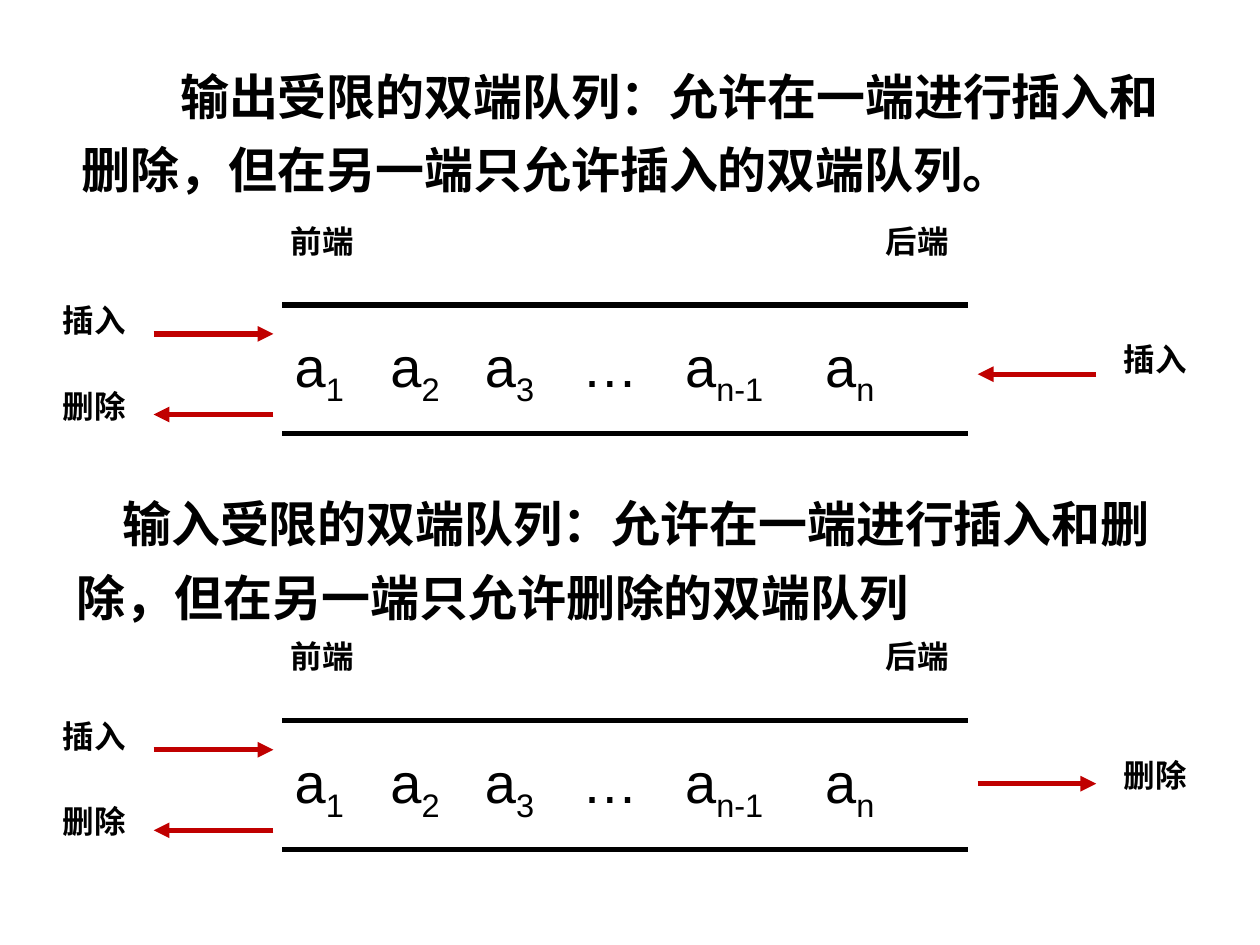
from lxml import etree
from pptx import Presentation
from pptx.dml.color import RGBColor
from pptx.enum.shapes import MSO_CONNECTOR
from pptx.enum.text import MSO_ANCHOR, MSO_AUTO_SIZE, PP_ALIGN
from pptx.oxml.ns import qn
from pptx.util import Inches, Pt

BLACK = RGBColor(0x00, 0x00, 0x00)
RED = RGBColor(0xC0, 0x00, 0x00)
LEFT, CENTER = PP_ALIGN.LEFT, PP_ALIGN.CENTER
TOP = MSO_ANCHOR.TOP
NO_AUTOFIT = MSO_AUTO_SIZE.NONE
STRAIGHT = MSO_CONNECTOR.STRAIGHT

COLUMNS, ROWS = 100, 75
CHINESE_FONT, ELEMENT_FONT = "Noto Sans CJK SC", "Arial"

# Each queue element: name, subscript, tab stop in columns
ELEMENTS = [("a", "1", 0), ("a", "2", 7.6), ("a", "3", 15.1),
            ("…", "", 22.8), ("a", "n-1", 31), ("a", "n", 42.1)]


class QueueSlide:
    """Style and drawing methods; lengths are in grid columns and rows."""

    def __init__(self, deck):
        self.slide = deck.slides.add_slide(deck.slide_layouts[1])
        self.column = deck.slide_width / COLUMNS
        self.row = deck.slide_height / ROWS

    def x(self, columns):
        return round(columns * self.column)

    def y(self, rows):
        return round(rows * self.row)

    def style(self, run, font, size, bold):
        run.font.size, run.font.bold = Pt(size), bold
        run.font.color.rgb = BLACK
        run.font.name = font
        east_asian = etree.SubElement(run.font._element, qn("a:ea"))
        east_asian.set("typeface", font)

    def text_box(self, left, top, width, height):
        box = self.slide.shapes.add_textbox(
            self.x(left), self.y(top), self.x(width), self.y(height))
        box.text_frame.word_wrap = True
        return box.text_frame

    def definition(self, placeholder, text, left, top, width, indent):
        placeholder.left, placeholder.top = self.x(left), self.y(top)
        placeholder.width, placeholder.height = self.x(width), self.y(12)
        frame = placeholder.text_frame
        frame.text = text
        frame.auto_size, frame.vertical_anchor = NO_AUTOFIT, TOP
        paragraph = frame.paragraphs[0]
        paragraph.alignment = LEFT
        paragraph.line_spacing, paragraph.space_before = 1.25, Pt(0)
        properties = paragraph._p.get_or_add_pPr()
        properties.set("marL", "0")
        properties.set("indent", str(self.x(indent)))
        etree.SubElement(properties, qn("a:buNone"))
        self.style(paragraph.runs[0], CHINESE_FONT, 28, True)

    def label(self, text, left, top):
        frame = self.text_box(left, top, 11, 5)
        frame.text = text
        frame.paragraphs[0].alignment = CENTER
        self.style(frame.paragraphs[0].runs[0], CHINESE_FONT, 18, True)

    def line(self, start, end, row, color=BLACK):
        line = self.slide.shapes.add_connector(
            STRAIGHT, self.x(start), self.y(row), self.x(end), self.y(row))
        line.line.color.rgb, line.line.width = color, Pt(3)
        etree.SubElement(line._element.spPr, qn("a:effectLst"))
        return line

    def arrow(self, start, end, row):
        outline = self.line(start, end, row, RED).line._get_or_add_ln()
        etree.SubElement(outline, qn("a:tailEnd")).set("type", "triangle")

    def elements(self, left, top):
        paragraph = self.text_box(left, top, 54.3, 6.4).paragraphs[0]
        paragraph.alignment = LEFT
        tabs = etree.SubElement(paragraph._p.get_or_add_pPr(), qn("a:tabLst"))
        for name, subscript, stop in ELEMENTS:
            if stop:
                etree.SubElement(tabs, qn("a:tab"), pos=str(self.x(stop)), algn="l")
            base = paragraph.add_run()
            base.text = "\t" + name if stop else name
            self.style(base, ELEMENT_FONT, 32, False)
            if subscript:
                index = paragraph.add_run()
                index.text = subscript
                self.style(index, ELEMENT_FONT, 32, False)
                index.font._element.set("baseline", "-25000")

    def queue(self, top, right_action, right_arrow):
        # Channel with its elements and end names
        for rail in (7.1, 17.3):
            self.line(22.4, 76.8, top + rail)
        self.elements(22.4, top + 8.7)
        self.label("前端", 20.1, top)
        self.label("后端", 67.3, top)
        # Front end allows both operations
        self.arrow(12.2, 21.7, top + 9.4)
        self.arrow(21.7, 12.2, top + 15.8)
        self.label("插入", 2, top + 6.3)
        self.label("删除", 2, top + 13.1)
        # Rear end allows only one
        self.arrow(*right_arrow)
        self.label(right_action, 86.2, top + 9.4)


def main():
    deck = Presentation()
    deck.slide_width, deck.slide_height = Inches(10), Inches(7.5)
    page = QueueSlide(deck)
    title, body = page.slide.placeholders

    # Output-restricted deque
    page.definition(
        title, "输出受限的双端队列：允许在一端进行插入和删除，但在另一端只允许插入的双端队列。",
        5.5, 3.6, 89, 7.8)
    page.queue(17.1, "插入", (87, 77.6, 29.7))

    # Input-restricted deque
    page.definition(
        body, "输入受限的双端队列：允许在一端进行插入和删除，但在另一端只允许删除的双端队列",
        5.1, 37.5, 89.4, 3.6)
    page.queue(50.1, "删除", (77.6, 87, 62.2))

    deck.save("out.pptx")


if __name__ == "__main__":
    main()
